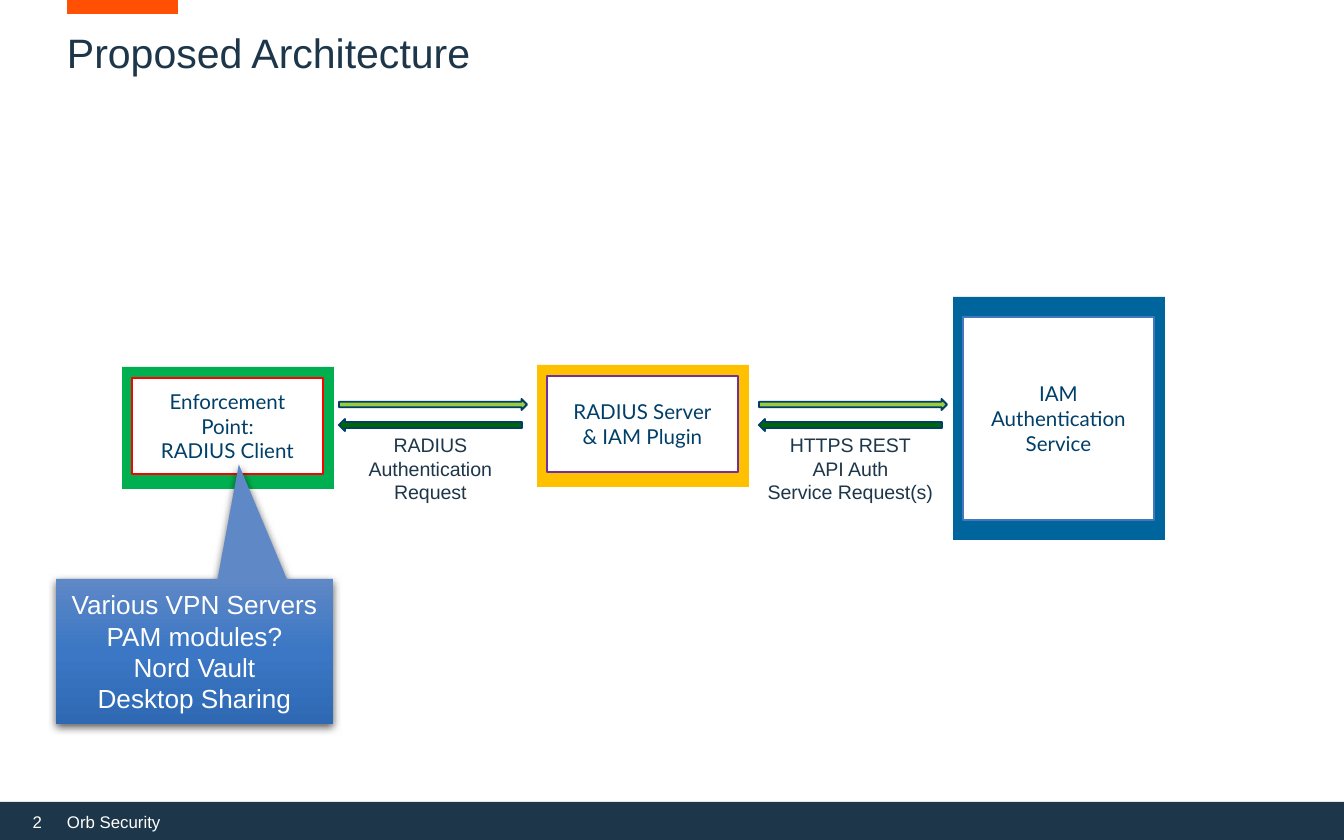
from lxml.etree import SubElement
from pptx import Presentation
from pptx.dml.color import RGBColor
from pptx.enum.shapes import MSO_CONNECTOR as CONNECTOR, MSO_SHAPE as SHAPE
from pptx.enum.text import MSO_ANCHOR as ANCHOR, MSO_AUTO_SIZE as AUTO_SIZE, PP_ALIGN as ALIGN
from pptx.oxml.ns import qn
from pptx.util import Emu, Pt

SCALE = 914400 / 134.4
WIDTH, HEIGHT = 1344, 840
NAVY, INK, WHITE = "1D3649", "003F69", "FFFFFF"


def px(length):
    return Emu(round(length * SCALE))


def color(value):
    return RGBColor.from_string(value)


def write(shape, text, size=11, font="Arial", ink=NAVY, align=ALIGN.CENTER,
          anchor=ANCHOR.TOP, inset=None, wrap=True, spacing=None):
    frame = shape.text_frame
    frame.text = text
    frame.word_wrap = wrap
    frame.auto_size = AUTO_SIZE.NONE
    frame.vertical_anchor = anchor
    if inset is not None:
        frame.margin_left = frame.margin_right = px(inset)
        frame.margin_top = frame.margin_bottom = px(inset)
    for paragraph in frame.paragraphs:
        paragraph.alignment = align
        if spacing:
            paragraph.line_spacing = spacing
        for run in paragraph.runs:
            run.font.size = Pt(size)
            run.font.name = font
            run.font.color.rgb = color(ink)
    return frame


def add_block(slide, kind, left, top, width, height, fill=None, line=None):
    block = slide.shapes.add_shape(kind, px(left), px(top), px(width), px(height))
    block.shadow.inherit = False
    if fill:
        block.fill.solid()
        block.fill.fore_color.rgb = color(fill)
    if line:
        block.line.color.rgb = color(line)
        block.line.width = Pt(1)
    else:
        block.line.fill.background()
    return block


def add_label(slide, left, top, width, height, text, **style):
    label = slide.shapes.add_textbox(px(left), px(top), px(width), px(height))
    return write(label, text, inset=0, **style)


def add_header(slide, left, title_top):
    accent = slide.shapes.add_connector(CONNECTOR.STRAIGHT, px(left), px(7), px(left + 111), px(7))
    accent.line.color.rgb = color("FF5004")
    accent.line.width = Pt(8)
    SubElement(accent._element.spPr, qn("a:effectLst"))
    title = slide.shapes.title
    title.left, title.top, title.width, title.height = px(left), px(title_top), px(1210), px(51)
    write(title, "Proposed Architecture", size=22, align=ALIGN.LEFT, inset=0, spacing=Pt(23))


def add_footer(slide, top):
    add_block(slide, SHAPE.RECTANGLE, 0, top, WIDTH, HEIGHT - top, NAVY)
    frame = add_label(slide, 16, top + 3, 257, 27, "\t2\tOrb Security", size=9, ink=WHITE,
                      align=ALIGN.LEFT, anchor=ANCHOR.BOTTOM, spacing=0.9)
    tabs = SubElement(frame.paragraphs[0]._p.get_or_add_pPr(), qn("a:tabLst"))
    for position, side in ((26, "r"), (51, "l")):
        SubElement(tabs, qn("a:tab"), pos=str(px(position)), algn=side)


def add_component(slide, left, top, height, panel_top, panel_height, fill, line, text):
    add_block(slide, SHAPE.RECTANGLE, left, top, 212, height, fill)
    panel = add_block(slide, SHAPE.RECTANGLE, left + 10, top + panel_top, 191, panel_height, WHITE, line)
    write(panel, text, font="Lato", ink=INK, anchor=ANCHOR.MIDDLE)


def add_exchange(slide, left, top, text):
    add_block(slide, SHAPE.RIGHT_ARROW, left, top, 188, 11, "9CCC3C", INK)
    reply = add_block(slide, SHAPE.RIGHT_ARROW, left, top + 20, 183, 12, "006600", INK)
    reply._element.spPr.get_or_add_xfrm().set("flipH", "1")
    add_label(slide, left, top + 34, 183, 71, text, size=10.5, wrap=False)


def add_stop(parent, value, **attributes):
    return SubElement(SubElement(parent, qn("a:gs"), **attributes), qn("a:srgbClr"), val=value)


def add_callout(slide, left, top, width, height, text):
    callout = add_block(slide, SHAPE.RECTANGULAR_CALLOUT, left, top, width, height)
    callout.adjustments[0], callout.adjustments[1] = 0.16, -1.29
    callout.fill.gradient()
    callout.fill.gradient_angle = 270
    properties = callout._element.spPr
    stops = properties.find(".//" + qn("a:gsLst"))
    for stop in list(stops):
        stops.remove(stop)
    for position, value in ((0, "5F88C6"), (50, "3B77C4"), (100, "2F69B4")):
        add_stop(stops, value, pos=str(position * 1000))
    shadow = SubElement(properties.find(qn("a:effectLst")), qn("a:outerShdw"), blurRad=str(Pt(4.5)),
                        dist=str(Pt(1.5)), dir="5400000", algn="ctr", rotWithShape="0")
    shade = SubElement(shadow, qn("a:srgbClr"), val="000000")
    SubElement(shade, qn("a:alpha"), val="63000")
    write(callout, text, size=14, ink=WHITE, anchor=ANCHOR.MIDDLE)


def main():
    deck = Presentation()
    deck.slide_width, deck.slide_height = px(WIDTH), px(HEIGHT)
    slide = deck.slides.add_slide(deck.slide_layouts[5])
    add_header(slide, 67, 34)
    add_footer(slide, 802)
    add_component(slide, 122, 367, 122, 11, 96, "00B050", "FF0000", "Enforcement Point:\vRADIUS Client")
    add_component(slide, 537, 365, 122, 11, 96, "FFC000", "7030A0", "RADIUS Server\n& IAM Plugin")
    add_component(slide, 953, 297, 243, 20, 203, "00649D", "4178BE", "IAM Authentication Service")
    add_exchange(slide, 339, 399, "RADIUS\vAuthentication\vRequest")
    add_exchange(slide, 759, 399, "HTTPS REST\vAPI Auth\vService Request(s)")
    add_callout(slide, 56, 579, 277, 145,
                "Various VPN Servers\nPAM modules?\nNord Vault\nDesktop Sharing")
    deck.save("out.pptx")


if __name__ == "__main__":
    main()
